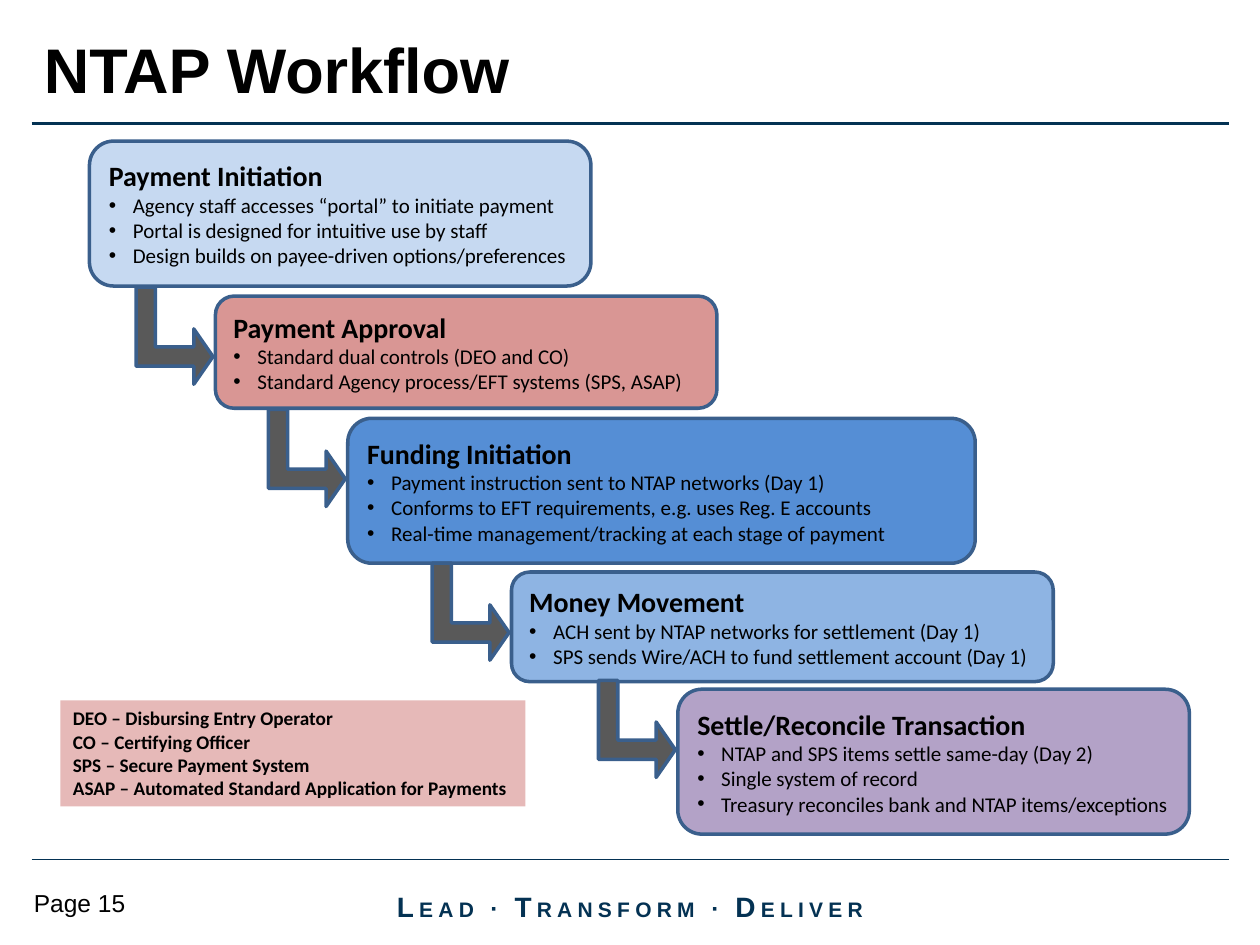
from lxml import etree
from pptx import Presentation
from pptx.dml.color import RGBColor
from pptx.enum.shapes import MSO_CONNECTOR, MSO_SHAPE
from pptx.enum.text import MSO_ANCHOR, PP_ALIGN
from pptx.oxml.ns import qn
from pptx.util import Inches, Pt

ROUNDED = MSO_SHAPE.ROUNDED_RECTANGLE
RECTANGLE = MSO_SHAPE.RECTANGLE
BENT_ARROW = MSO_SHAPE.BENT_UP_ARROW
STRAIGHT = MSO_CONNECTOR.STRAIGHT
TOP, MIDDLE = MSO_ANCHOR.TOP, MSO_ANCHOR.MIDDLE
LEFT, CENTER = PP_ALIGN.LEFT, PP_ALIGN.CENTER

STAGES = [
    ((0.71, 1.12, 3.98, 1.15), "C6D9F1", "Payment Initiation", [
        "Agency staff accesses “portal” to initiate payment",
        "Portal is designed for intuitive use by staff",
        "Design builds on payee-driven options/preferences"]),
    ((1.71, 2.35, 3.98, 0.89), "D99694", "Payment Approval", [
        "Standard dual controls (DEO and CO)",
        "Standard Agency process/EFT systems (SPS, ASAP)"]),
    ((2.76, 3.32, 4.98, 1.15), "558ED5", "Funding Initiation", [
        "Payment instruction sent to NTAP networks (Day 1)",
        "Conforms to EFT requirements, e.g. uses Reg. E accounts",
        "Real-time management/tracking at each stage of payment"]),
    ((4.06, 4.54, 4.3, 0.87), "8EB4E3", "Money Movement", [
        "ACH sent by NTAP networks for settlement (Day 1)",
        "SPS sends Wire/ACH to fund settlement account (Day 1)"]),
    ((5.38, 5.47, 4.06, 1.15), "B3A2C7", "Settle/Reconcile Transaction", [
        "NTAP and SPS items settle same-day (Day 2)",
        "Single system of record",
        "Treasury reconciles bank and NTAP items/exceptions"]),
]
ACRONYMS = [
    "DEO – Disbursing Entry Operator",
    "CO – Certifying Officer",
    "SPS – Secure Payment System",
    "ASAP – Automated Standard Application for Payments",
]
MOTTO = [("L", 16), ("EAD ", 12), ("∙ ", 14), ("T", 16), ("RANSFORM ", 12),
         ("∙ ", 14), ("D", 16), ("ELIVER", 12)]


def color(value):
    return RGBColor.from_string(value)


def add_span(para, text, size=12, font="Calibri", fill="000000", bold=False, spacing=0):
    span = para.add_run()
    span.text = text
    span.font.size = Pt(size)
    span.font.name = font
    span.font.bold = bold
    span.font.color.rgb = color(fill)
    if spacing:
        span.font._element.set("spc", str(spacing * 100))


def add_bullet(para):
    properties = para._p.get_or_add_pPr()
    properties.set("marL", str(Inches(0.19)))
    properties.set("indent", str(-Inches(0.19)))
    etree.SubElement(properties, qn("a:buFont")).set("typeface", "Arial")
    etree.SubElement(properties, qn("a:buChar")).set("char", "•")


def next_para(frame, align=LEFT):
    first = frame.paragraphs[0]
    para = frame.add_paragraph() if first.runs else first
    para.alignment = align
    return para


class SlideBuilder:
    navy = "043253"
    border = "3A5F8C"
    arrow_fill = "595959"

    def __init__(self, slide):
        self.slide = slide

    def rule(self, y, width):
        line = self.slide.shapes.add_connector(
            STRAIGHT, Inches(0.25), Inches(y), Inches(9.75), Inches(y))
        line.line.color.rgb = color(self.navy)
        line.line.width = Pt(width)
        etree.SubElement(line._element.spPr, qn("a:effectLst"))

    def text(self, place, spans, align=LEFT, anchor=TOP, **style):
        box = self.slide.shapes.add_textbox(*map(Inches, place))
        frame = box.text_frame
        frame.word_wrap = True
        frame.vertical_anchor = anchor
        para = next_para(frame, align)
        for text, size in spans:
            add_span(para, text, size=size, font="Arial", **style)

    def shape(self, kind, place, fill, outlined=True):
        shape = self.slide.shapes.add_shape(kind, *map(Inches, place))
        shape.shadow.inherit = False
        shape.fill.solid()
        shape.fill.fore_color.rgb = color(fill)
        if outlined:
            shape.line.color.rgb = color(self.border)
            shape.line.width = Pt(2)
        else:
            shape.line.fill.background()
        return shape

    def stage(self, place, fill, heading, points):
        frame = self.shape(ROUNDED, place, fill).text_frame
        frame.word_wrap = True
        frame.vertical_anchor = MIDDLE
        add_span(next_para(frame), heading, size=16, bold=True)
        for point in points:
            para = next_para(frame)
            add_bullet(para)
            add_span(para, point)

    def arrow_into(self, place):
        left, top = place[:2]
        arrow = self.shape(BENT_ARROW, (left - 0.71, top + 0.01, 0.77, 0.61), self.arrow_fill)
        arrow.rotation = 90
        for index, value in enumerate((0.25, 0.36, 0.25)):
            arrow.adjustments[index] = value

    def legend(self, place, fill, lines):
        frame = self.shape(RECTANGLE, place, fill, outlined=False).text_frame
        frame.word_wrap = False
        frame.vertical_anchor = TOP
        for line in lines:
            add_span(next_para(frame), line, size=11, bold=True)


def main():
    deck = Presentation()
    deck.slide_width, deck.slide_height = Inches(10), Inches(7.5)
    page = SlideBuilder(deck.slides.add_slide(deck.slide_layouts[6]))

    page.rule(6.82, 0.75)
    page.text((2.83, 6.99, 4.34, 0.4), MOTTO, align=CENTER, anchor=MIDDLE,
              fill=page.navy, bold=True, spacing=3)
    page.rule(0.98, 2.25)
    page.text((0.17, 7, 1.25, 0.33), [("Page 15", 14)])
    for stage in STAGES:
        page.stage(*stage)
    for place, *_ in STAGES[1:]:
        page.arrow_into(place)
    page.legend((0.48, 5.56, 3.69, 0.84), "E6B9B8", ACRONYMS)
    page.text((0.25, 0.17, 9.5, 0.75), [("NTAP Workflow", 36)], anchor=MIDDLE, bold=True)

    deck.save("out.pptx")


if __name__ == "__main__":
    main()
